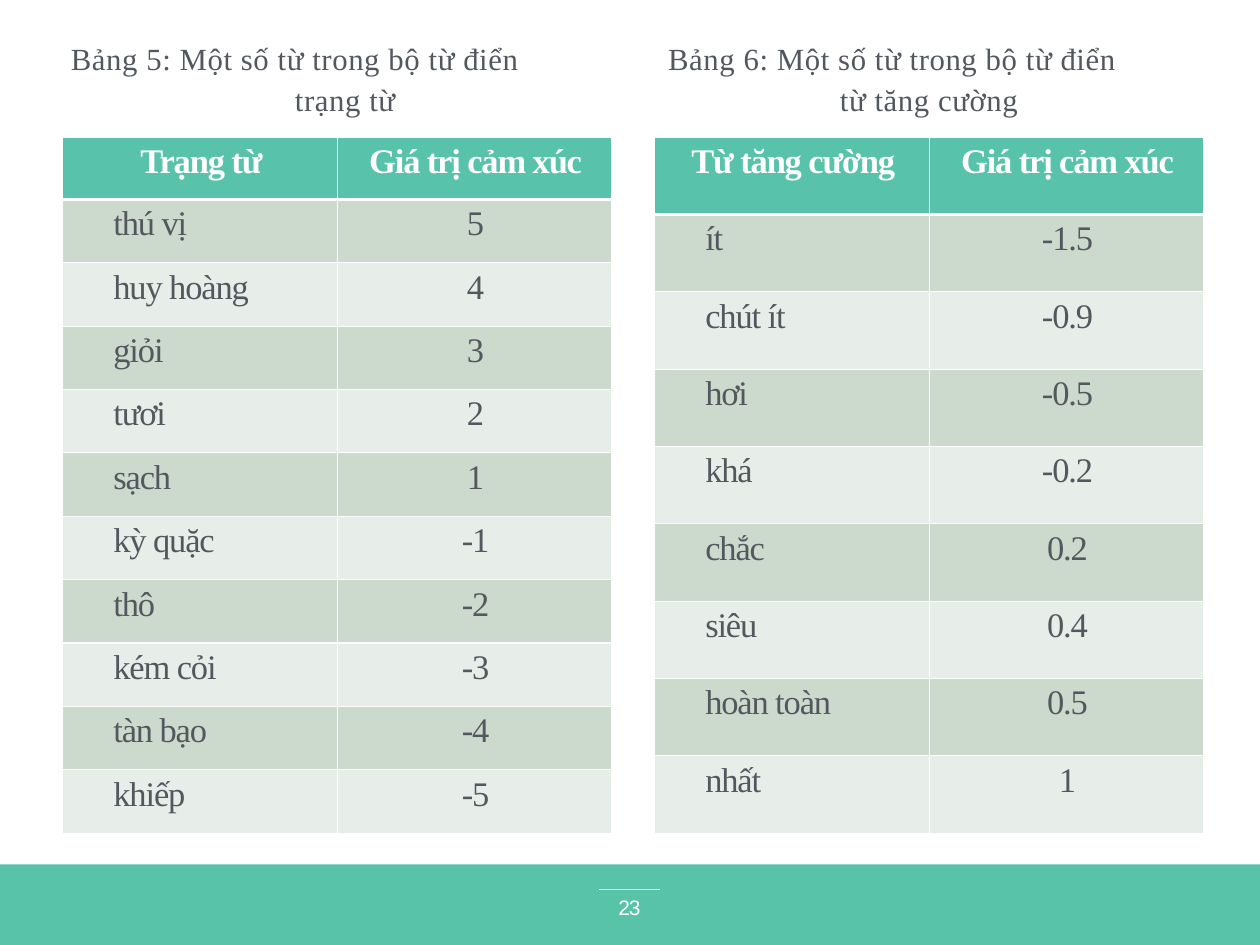
from lxml import etree
from pptx import Presentation
from pptx.dml.color import RGBColor
from pptx.enum.shapes import MSO_CONNECTOR, MSO_SHAPE
from pptx.enum.text import MSO_ANCHOR, PP_ALIGN
from pptx.oxml.ns import qn
from pptx.util import Inches, Pt

LEFT, MID, JUST = PP_ALIGN.LEFT, PP_ALIGN.CENTER, PP_ALIGN.JUSTIFY
MIDDLE = MSO_ANCHOR.MIDDLE
RECT, LINE = MSO_SHAPE.RECTANGLE, MSO_CONNECTOR.STRAIGHT
GREEN = RGBColor(0x58, 0xC3, 0xA9)
HEAD = RGBColor(0x58, 0xC3, 0xAA)
BANDS = RGBColor(0xCC, 0xDA, 0xCD), RGBColor(0xE7, 0xED, 0xE8)
GREY = RGBColor(0x53, 0x58, 0x5F)
WHITE = RGBColor(0xFF, 0xFF, 0xFF)
SERIF, SANS = "Times New Roman", "Arial"

# Content: left edge, header height, caption lines with their indents, rows
TABLES = [
    {"left": 0.71, "head": 0.7,
     "title": [("Bảng 5: Một số từ trong bộ từ điển", LEFT, 0.03),
               ("trạng từ", MID, 0.18)],
     "rows": [("Trạng từ", "Giá trị cảm xúc"), ("thú vị", "5"),
              ("huy hoàng", "4"), ("giỏi", "3"), ("tươi", "2"),
              ("sạch", "1"), ("kỳ quặc", "-1"), ("thô", "-2"),
              ("kém cỏi", "-3"), ("tàn bạo", "-4"), ("khiếp", "-5")]},
    {"left": 7.39, "head": 0.87,
     "title": [("Bảng 6: Một số từ trong bộ từ điển", LEFT, 0.09),
               ("từ tăng cường", MID, 0)],
     "rows": [("Từ tăng cường", "Giá trị cảm xúc"), ("ít", "-1.5"),
              ("chút ít", "-0.9"), ("hơi", "-0.5"), ("khá", "-0.2"),
              ("chắc", "0.2"), ("siêu", "0.4"), ("hoàn toàn", "0.5"),
              ("nhất", "1")]},
]
PAGE = "23"
WIDE, TALL = 14.22, 10.67
TOP, WIDTH, HEIGHT = 1.55, 6.19, 7.86


def style(para, font, size, color, align, space, gap, indent=0, bold=False):
    para.alignment = align
    para.line_spacing = space
    para._p.get_or_add_pPr().set("indent", str(Inches(indent)))
    run = para.runs[0]
    run.font.name, run.font.size, run.font.bold = font, Pt(size), bold
    run.font.color.rgb = color
    run._r.get_or_add_rPr().set("spc", str(round(gap * 100)))


def add_box(slide, left, top, width, height, inset):
    box = slide.shapes.add_textbox(
        Inches(left), Inches(top), Inches(width), Inches(height))
    frame = box.text_frame
    frame.word_wrap = True
    frame.vertical_anchor = MIDDLE
    frame.margin_left = frame.margin_right = Inches(inset)
    frame.margin_top = frame.margin_bottom = Inches(inset)
    return frame


def set_edges(cell, top, base):
    props = cell._tc.get_or_add_tcPr()
    widths = {"a:lnL": 1, "a:lnR": 1, "a:lnT": top, "a:lnB": base}
    for pos, (tag, width) in enumerate(widths.items()):
        edge = etree.Element(qn(tag), w=str(Pt(width)))
        fill = etree.SubElement(edge, qn("a:solidFill"))
        etree.SubElement(fill, qn("a:srgbClr"), val=str(WHITE))
        props.insert(pos, edge)


def add_title(slide, data):
    frame = add_box(slide, data["left"], 0.35, WIDTH, 1.04, 0.06)
    frame.text = "\n".join(line for line, _, _ in data["title"])
    for para, (_, align, indent) in zip(frame.paragraphs, data["title"]):
        style(para, SERIF, 25, GREY, align, 1.1, 0.5, indent)


def add_grid(slide, data):
    rows = data["rows"]
    grid = slide.shapes.add_table(
        len(rows), 2, Inches(data["left"]), Inches(TOP),
        Inches(WIDTH), Inches(HEIGHT)).table
    step = (HEIGHT - data["head"]) / (len(rows) - 1)
    for r, row in enumerate(rows):
        top = r == 0
        grid.rows[r].height = Inches(data["head"] if top else step)
        for c, text in enumerate(row):
            cell = grid.cell(r, c)
            cell.margin_left = cell.margin_right = Inches(0.07)
            cell.margin_top = cell.margin_bottom = 0
            cell.fill.solid()
            cell.fill.fore_color.rgb = HEAD if top else BANDS[(r - 1) % 2]
            set_edges(cell, 3 if r == 1 else 1, 3 if top else 1)
            cell.text = text
            para = cell.text_frame.paragraphs[0]
            word = c == 0 and not top
            style(para, SERIF, 28, WHITE if top else GREY,
                  JUST if word else MID, 1.15, -0.9,
                  0.5 if word else 0.03, top)
            para.space_before, para.space_after = Pt(26), Pt(6)


def add_footer(slide):
    bar = slide.shapes.add_shape(
        RECT, 0, Inches(9.76), Inches(WIDE), Inches(TALL - 9.76))
    bar.shadow.inherit = False
    bar.fill.solid()
    bar.fill.fore_color.rgb = GREEN
    bar.line.fill.background()
    rule = slide.shapes.add_connector(
        LINE, Inches(6.76), Inches(10.04), Inches(7.45), Inches(10.04))
    rule.line.color.rgb = WHITE
    rule.line.width = Pt(0.5)
    etree.SubElement(rule._element.spPr, qn("a:effectLst"))
    frame = add_box(slide, 6.82, 10.05, 0.57, 0.42, 0)
    frame.text = PAGE
    style(frame.paragraphs[0], SANS, 17, WHITE, MID, 0.9, -0.9)


def main():
    deck = Presentation()
    deck.slide_width, deck.slide_height = Inches(WIDE), Inches(TALL)
    slide = deck.slides.add_slide(deck.slide_layouts[6])
    add_footer(slide)
    for data in TABLES:
        add_grid(slide, data)
        add_title(slide, data)
    deck.save("out.pptx")


if __name__ == "__main__":
    main()
